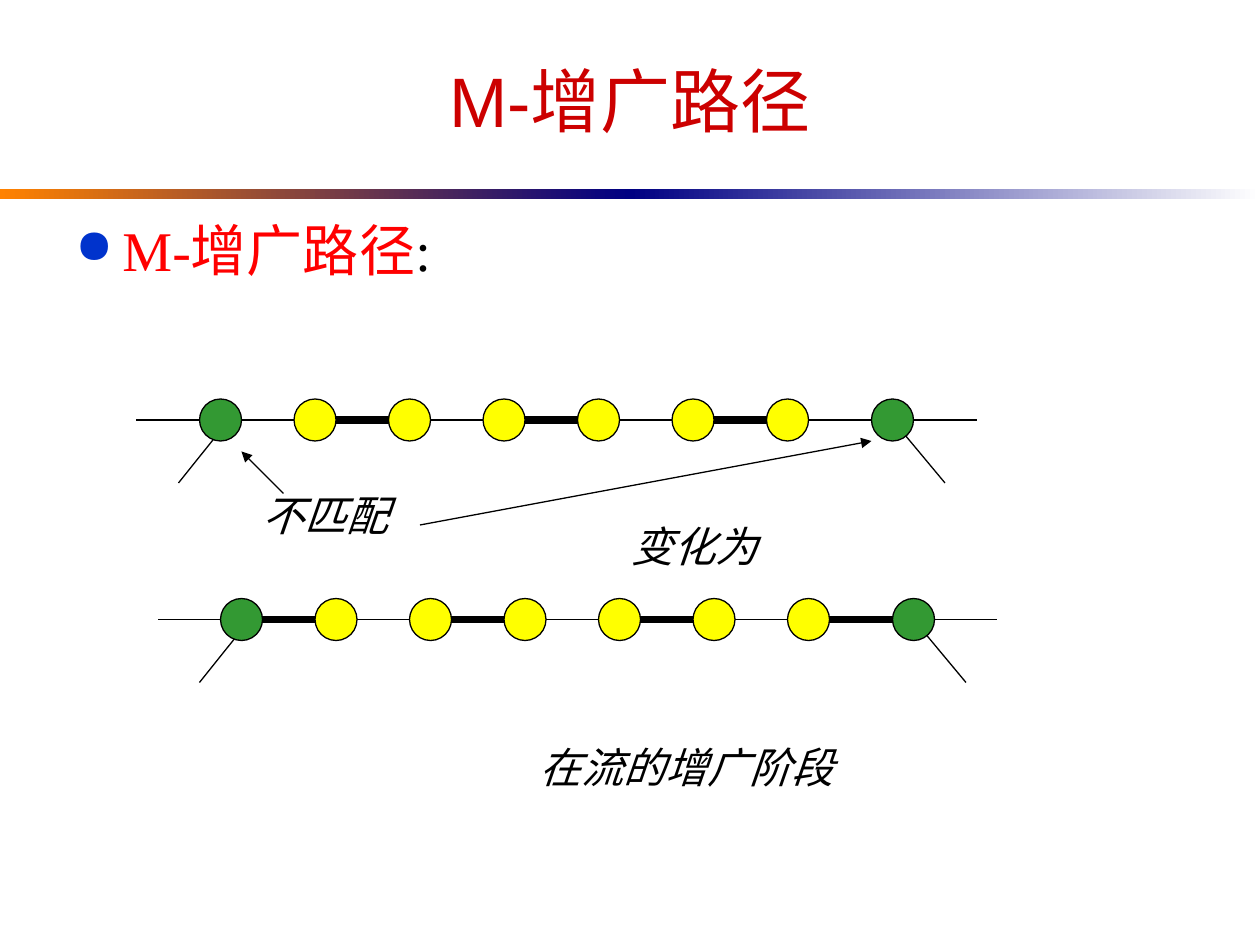
from dataclasses import dataclass

from lxml import etree
from pptx import Presentation
from pptx.dml.color import RGBColor
from pptx.enum.shapes import MSO_CONNECTOR, MSO_SHAPE
from pptx.enum.text import MSO_ANCHOR, MSO_AUTO_SIZE, PP_ALIGN
from pptx.oxml.ns import qn
from pptx.util import Cm, Pt

STRAIGHT = MSO_CONNECTOR.STRAIGHT
OVAL, RECT = MSO_SHAPE.OVAL, MSO_SHAPE.RECTANGLE
LEFT, CENTER = PP_ALIGN.LEFT, PP_ALIGN.CENTER
MIDDLE = MSO_ANCHOR.MIDDLE
FIT, NO_FIT = MSO_AUTO_SIZE.SHAPE_TO_FIT_TEXT, MSO_AUTO_SIZE.NONE

BLACK = RGBColor(0x00, 0x00, 0x00)
WHITE = RGBColor(0xFF, 0xFF, 0xFF)
ORANGE = RGBColor(0xFF, 0x82, 0x00)
NAVY = RGBColor(0x00, 0x00, 0x82)
DARK_RED = RGBColor(0xCC, 0x00, 0x00)
RED = RGBColor(0xFF, 0x00, 0x00)
GREEN = RGBColor(0x33, 0x99, 0x33)
YELLOW = RGBColor(0xFF, 0xFF, 0x00)
BULLET_COLOR = "0033CC"

SERIF, SANS = "Times New Roman", "Arial"
THIN, THICK = 0.75, 4.5
RADIUS = 2
NODE_OFFSETS = (0, 9, 18, 27, 36, 45, 54, 64)


@dataclass
class MatchingPath:
    """A row of nodes; x and y are the centre of the first one, in grid units."""
    x: int
    y: int
    first_matched: int


@dataclass
class Label:
    text: str
    left: float
    top: float
    width: float


PATHS = [MatchingPath(21, 40, first_matched=1), MatchingPath(23, 59, first_matched=0)]
LABELS = [
    Label("不匹配", 5.03, 9.74, 3.05),
    Label("变化为", 12.47, 10.37, 3.05),
    Label("在流的增广阶段", 10.62, 14.82, 6.43),
]
ARROWS = [((27, 47), (23, 43)), ((40, 50), (83, 42))]


def grid(n: float) -> Cm:
    """Length of n grid units, twelve to 2.54 cm."""
    return Cm(2.54 * n / 12)


def add_line(s, start: tuple, end: tuple, width: float = THIN, arrow: bool = False) -> None:
    c = s.shapes.add_connector(STRAIGHT, *map(grid, start + end))
    c.line.color.rgb = BLACK
    c.line.width = Pt(width)
    if arrow:
        etree.SubElement(c.line._get_or_add_ln(), qn("a:tailEnd"), type="triangle")
    etree.SubElement(c._element.spPr, qn("a:effectLst"))


def add_node(s, x: float, y: float, color: RGBColor) -> None:
    sp = s.shapes.add_shape(OVAL, grid(x - RADIUS), grid(y - RADIUS),
                            grid(2 * RADIUS), grid(2 * RADIUS))
    sp.shadow.inherit = False
    sp.fill.solid()
    sp.fill.fore_color.rgb = color
    sp.line.color.rgb = BLACK
    sp.line.width = Pt(THIN)


def add_path(s, path: MatchingPath) -> None:
    xs = [path.x + offset for offset in NODE_OFFSETS]
    y, first, last = path.y, xs[0], xs[-1]
    add_line(s, (first, y), (first - 8, y))
    add_line(s, (first, y + 1), (first - 4, y + 6))
    add_line(s, (last, y), (last + 8, y))
    add_line(s, (last, y), (last + 5, y + 6))
    for i, (a, b) in enumerate(zip(xs, xs[1:])):
        add_line(s, (a, y), (b, y), THICK if i % 2 == path.first_matched else THIN)
    for x in xs:
        add_node(s, x, y, GREEN if x in (first, last) else YELLOW)


def add_band(s, left: float, start: RGBColor, end: RGBColor) -> None:
    sp = s.shapes.add_shape(RECT, Cm(left), Cm(3.81), Cm(12.7), Cm(0.2))
    sp.shadow.inherit = False
    sp.line.fill.background()
    sp.fill.gradient()
    sp.fill.gradient_angle = 0
    for stop, color in zip(sp.fill.gradient_stops, (start, end)):
        stop.color.rgb = color


def set_text(sp, *runs: tuple, font: str = SERIF, size: float = 24, italic: bool = False,
             align=CENTER, wrap: bool = True, autosize=NO_FIT):
    """Fill a shape with one paragraph of (text, colour) runs."""
    tf = sp.text_frame
    tf.word_wrap = wrap
    tf.auto_size = autosize
    p = tf.paragraphs[0]
    p.alignment = align
    for text, color in runs:
        r = p.add_run()
        r.text = text
        r.font.name = font
        r.font.size = Pt(size)
        r.font.italic = italic
        r.font.color.rgb = color
    return p


def add_bullet(p) -> None:
    pPr = p._p.get_or_add_pPr()
    pPr.set("marL", str(Cm(0.95)))
    pPr.set("indent", str(-Cm(0.95)))
    color = etree.SubElement(pPr, qn("a:buClr"))
    etree.SubElement(color, qn("a:srgbClr"), val=BULLET_COLOR)
    etree.SubElement(pPr, qn("a:buSzPct"), val="85000")
    etree.SubElement(pPr, qn("a:buChar"), char="●")


def main() -> None:
    prs = Presentation()
    prs.slide_width, prs.slide_height = Cm(25.4), Cm(19.05)
    s = prs.slides.add_slide(prs.slide_layouts[5])

    add_band(s, 0, ORANGE, NAVY)
    add_band(s, 12.7, NAVY, WHITE)

    title = s.shapes.title
    title.left, title.top, title.width, title.height = Cm(1.27), Cm(0.64), Cm(22.86), Cm(2.75)
    title.text_frame.vertical_anchor = MIDDLE
    set_text(title, ("M-增广路径", DARK_RED), font=SANS, size=40)

    body = s.shapes.add_textbox(Cm(1.27), Cm(4.23), Cm(22.86), Cm(12.07))
    p = set_text(body, ("M-增广路径", RED), (":", BLACK), size=32, align=LEFT)
    p.space_before = Pt(8)
    add_bullet(p)

    for path in PATHS:
        add_path(s, path)
    for start, end in ARROWS:
        add_line(s, start, end, arrow=True)
    for label in LABELS:
        box = s.shapes.add_textbox(Cm(label.left), Cm(label.top), Cm(label.width), Cm(1.27))
        set_text(box, (label.text, BLACK), italic=True, wrap=False, autosize=FIT)

    prs.save("out.pptx")


if __name__ == "__main__":
    main()
